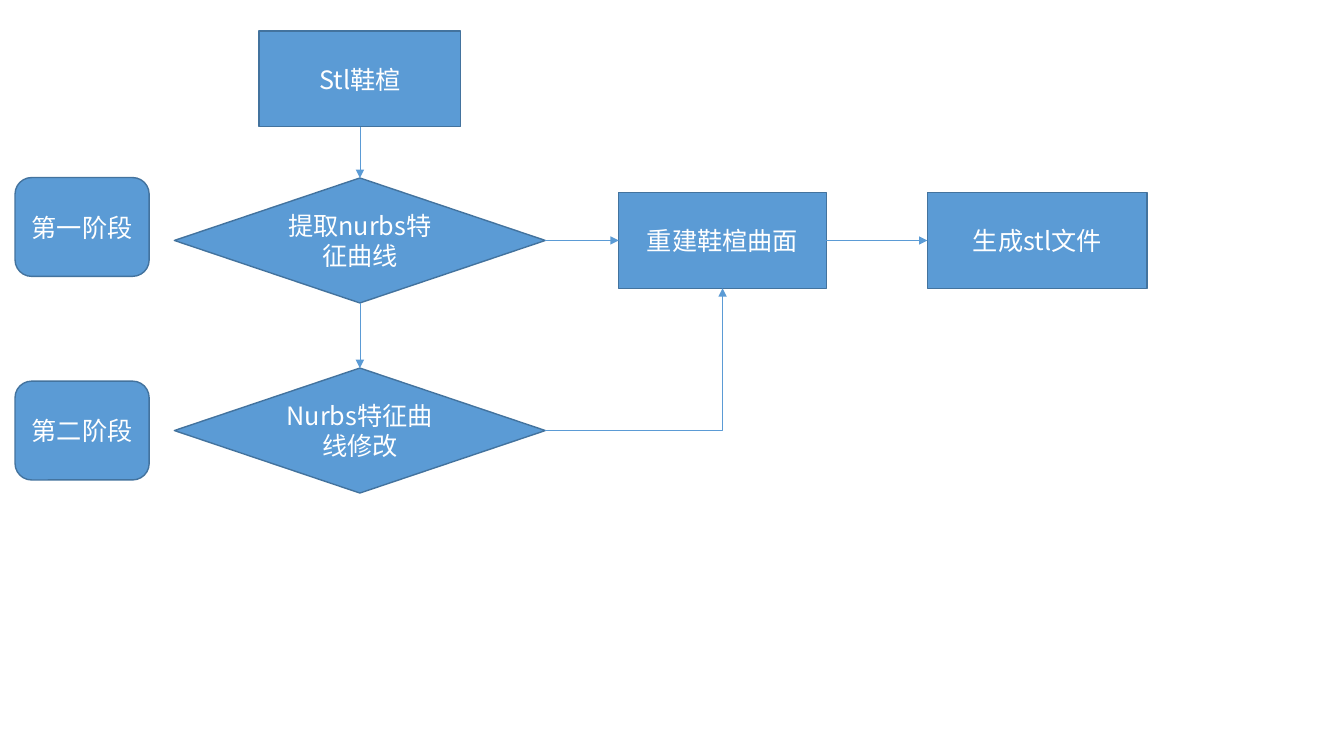
import pptx
import pptx.dml.color
import pptx.enum.shapes
import pptx.enum.text
import pptx.oxml.ns
import pptx.oxml.xmlchemy
import pptx.util
import lxml.etree

Cm = pptx.util.Cm
Pt = pptx.util.Pt
qn = pptx.oxml.ns.qn
KIND = pptx.enum.shapes.MSO_SHAPE
LINK = pptx.enum.shapes.MSO_CONNECTOR
TOP, LEFT, BOTTOM, RIGHT = range(4)

HUES = {"fill": "5B9BD5", "edge": "43739E", "text": "FFFFFF"}
FACE = "Noto Sans CJK SC"
FONT = {"name": FACE, "size": Pt(18)}
FRAME = {"word_wrap": True, "vertical_anchor": pptx.enum.text.MSO_ANCHOR.MIDDLE}


def hue(name):
    return pptx.dml.color.RGBColor.from_string(HUES[name])


def apply(target, values):
    for key, value in values.items():
        setattr(target, key, value)


class Chart:
    """Draws the parts of a flow chart on one slide."""

    def __init__(self, slide):
        self.slide = slide

    def node(self, kind, text, mid, size):
        """Add a shape centred on mid; lengths are in centimetres."""
        (x, y), (w, h) = mid, size
        node = self.slide.shapes.add_shape(
            kind, Cm(x - w / 2), Cm(y - h / 2), Cm(w), Cm(h))
        node.shadow.inherit = False
        node.fill.solid()
        node.fill.fore_color.rgb = hue("fill")
        node.line.color.rgb = hue("edge")
        node.line.width = Pt(1)
        apply(node.text_frame, FRAME)
        para = node.text_frame.paragraphs[0]
        para.alignment = pptx.enum.text.PP_ALIGN.CENTER
        run = para.add_run()
        run.text = text
        apply(run.font, FONT)
        run.font.color.rgb = hue("text")
        props = run.font.fill and run._r.get_or_add_rPr()
        lxml.etree.SubElement(props, qn("a:ea"), typeface=FACE)
        return node

    def arrow(self, start, out, end, into, bent=False):
        """Join side out of start to side into of end."""
        kind = LINK.ELBOW if bent else LINK.STRAIGHT
        arrow = self.slide.shapes.add_connector(kind, 0, 0, 0, 0)
        arrow.begin_connect(start, out)
        arrow.end_connect(end, into)
        arrow.line.color.rgb = hue("fill")
        arrow.line.width = Pt(0.5)
        props = arrow.element.spPr
        lxml.etree.SubElement(props.find(qn("a:ln")), qn("a:tailEnd"), type="triangle")
        lxml.etree.SubElement(props, qn("a:effectLst"))
        if bent:
            props.find(qn("a:prstGeom")).set("prst", "bentConnector2")


def main():
    deck = pptx.Presentation()
    apply(deck, {"slide_width": Cm(33.87), "slide_height": Cm(19.05)})
    chart = Chart(deck.slides.add_slide(deck.slide_layouts[6]))

    main_x, row_one, row_two = 9.07, 6.06, 10.85
    choice, stage = (9.35, 3.15), (3.38, 2.49)

    last = chart.node(KIND.RECTANGLE, "Stl鞋楦", (main_x, 1.99), (5.08, 2.41))
    pick = chart.node(KIND.FLOWCHART_DECISION, "提取nurbs特征曲线", (main_x, row_one), choice)
    build = chart.node(KIND.RECTANGLE, "重建鞋楦曲面", (18.21, row_one), (5.23, 2.41))
    file = chart.node(KIND.RECTANGLE, "生成stl文件", (26.14, row_one), (5.54, 2.41))
    edit = chart.node(KIND.FLOWCHART_DECISION, "Nurbs特征曲线修改", (main_x, row_two), choice)
    for text, y in (("第一阶段", 5.72), ("第二阶段", row_two)):
        chart.node(KIND.ROUNDED_RECTANGLE, text, (2.07, y), stage)

    chart.arrow(last, BOTTOM, pick, TOP)
    chart.arrow(pick, RIGHT, build, LEFT)
    chart.arrow(build, RIGHT, file, LEFT)
    chart.arrow(pick, BOTTOM, edit, TOP)
    chart.arrow(edit, RIGHT, build, BOTTOM, bent=True)

    deck.save("out.pptx")


if __name__ == "__main__":
    main()
